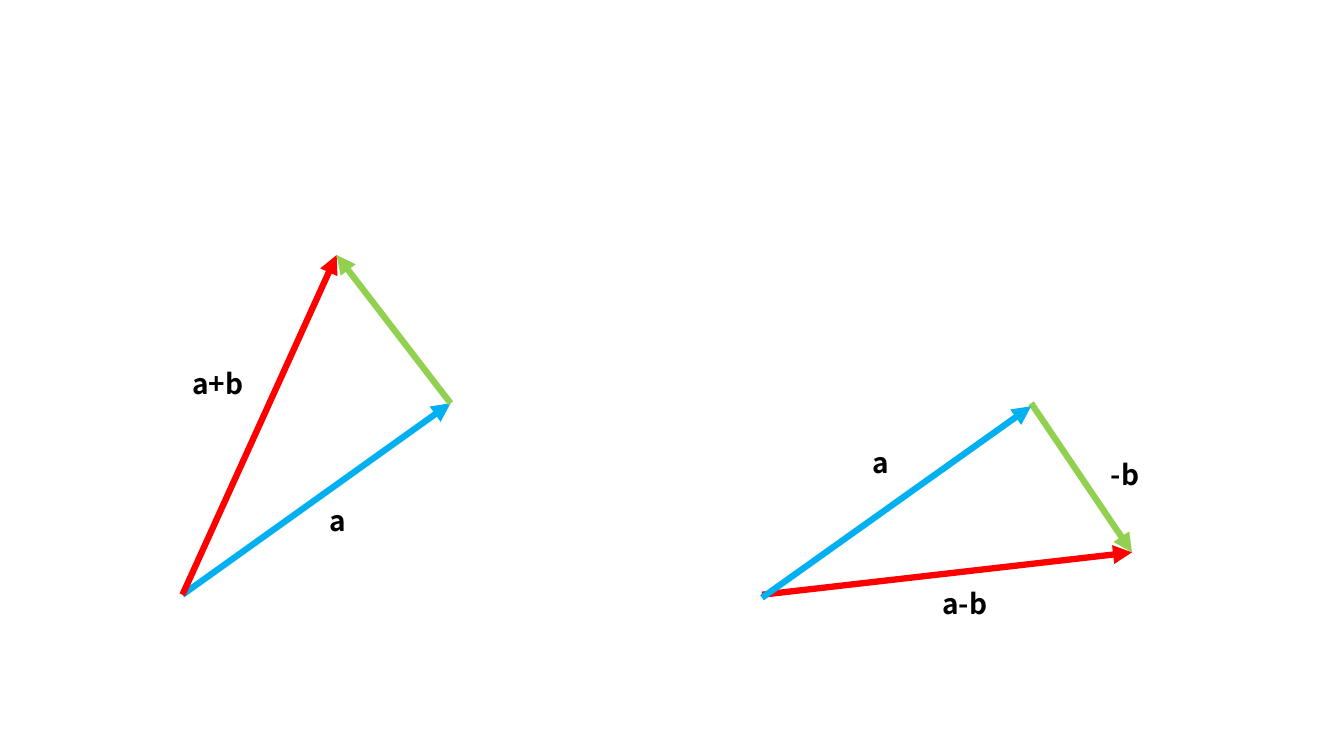
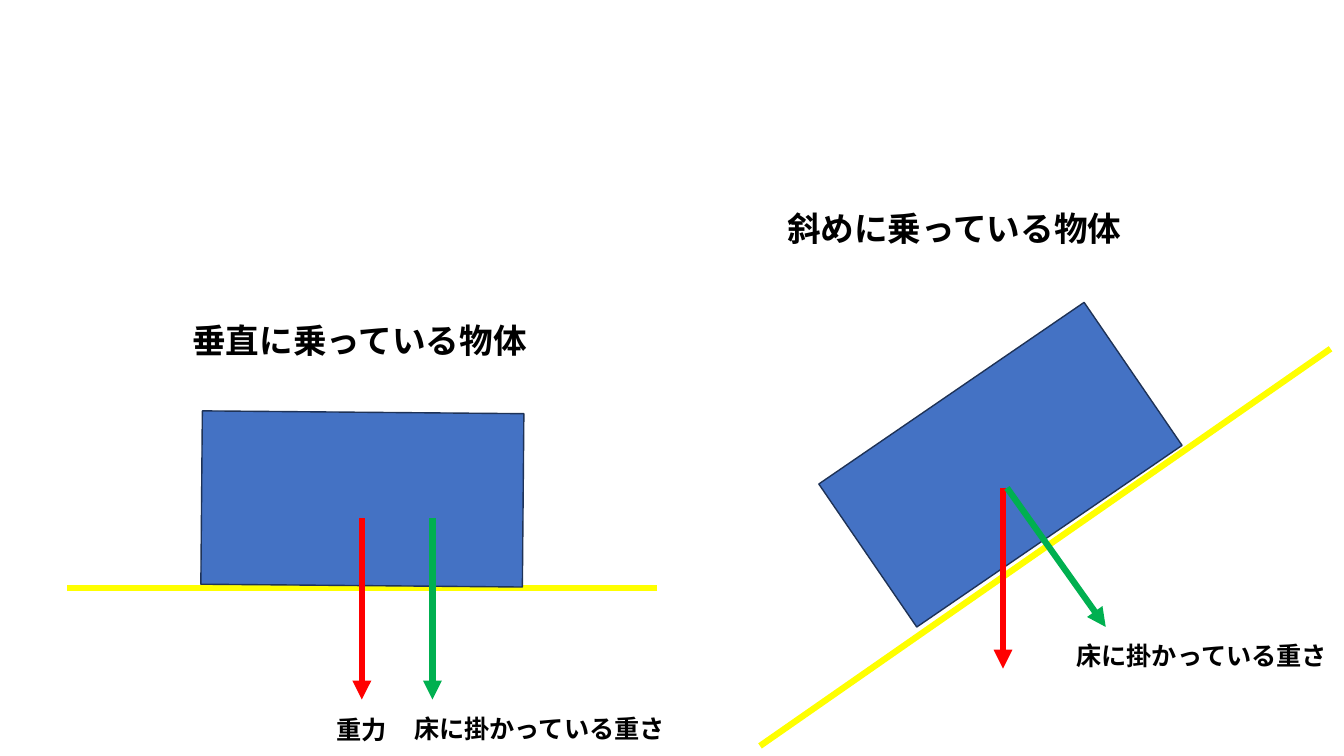
from dataclasses import dataclass
from typing import Sequence, Union

from lxml import etree
from pptx import Presentation
from pptx import util as u
from pptx.dml.color import RGBColor
from pptx.enum import shapes, text
from pptx.oxml import ns

SLIDE_W, SLIDE_H = u.Inches(40 / 3), u.Inches(7.5)
COLS = 40
CELL = SLIDE_W / COLS
FONT = "Noto Sans CJK JP"
LINE_PT = 4.5
BLOCK_W, BLOCK_H = 9.57, 5.16
PAD = 0.3
COLORS = {
    "a": "00B0F0",
    "b": "92D050",
    "result": "FF0000",
    "gravity": "FF0000",
    "load": "00B050",
    "floor": "FFFF00",
    "block": "4472C4",
    "block_edge": "1E3256",
    "text": "000000",
}

Point = tuple[float, float]


@dataclass(frozen=True)
class Line:
    start: Point
    end: Point
    color: str
    arrow: bool = True


@dataclass(frozen=True)
class Block:
    left: float
    top: float
    rotation: float


@dataclass(frozen=True)
class Label:
    left: float
    top: float
    width: float
    words: str
    size: int


Item = Union[Line, Block, Label]


def grid(cells: float) -> u.Emu:
    return u.Emu(round(cells * CELL))


def rgb(name: str) -> RGBColor:
    return RGBColor.from_string(COLORS[name])


def draw_line(s, line: Line) -> None:
    sp = s.shapes.add_connector(
        shapes.MSO_CONNECTOR.STRAIGHT, *(grid(v) for v in line.start + line.end)
    )
    sp.line.color.rgb = rgb(line.color)
    sp.line.width = u.Pt(LINE_PT)
    if line.arrow:
        ln = sp.line._get_or_add_ln()
        etree.SubElement(ln, ns.qn("a:tailEnd"), type="triangle")
    etree.SubElement(sp._element.spPr, ns.qn("a:effectLst"))


def draw_block(s, block: Block) -> None:
    sp = s.shapes.add_shape(
        shapes.MSO_SHAPE.RECTANGLE,
        grid(block.left), grid(block.top), grid(BLOCK_W), grid(BLOCK_H),
    )
    sp.rotation = block.rotation
    sp.shadow.inherit = False
    sp.fill.solid()
    sp.fill.fore_color.rgb = rgb("block")
    sp.line.color.rgb = rgb("block_edge")
    sp.line.width = u.Pt(1)


def draw_label(s, label: Label) -> None:
    height = u.Pt(label.size * 1.2) + 2 * u.Inches(0.05)
    sp = s.shapes.add_textbox(
        grid(label.left), grid(label.top), grid(label.width), height
    )
    tf = sp.text_frame
    tf.word_wrap = False
    tf.auto_size = text.MSO_AUTO_SIZE.SHAPE_TO_FIT_TEXT
    tf.margin_left = tf.margin_right = grid(PAD)
    p = tf.paragraphs[0]
    r = p.add_run()
    r.text = label.words
    r.font.size = u.Pt(label.size)
    r.font.bold = True
    r.font.color.rgb = rgb("text")
    r.font.name = FONT
    etree.SubElement(r._r.get_or_add_rPr(), ns.qn("a:ea"), typeface=FONT)


DRAW = {Line: draw_line, Block: draw_block, Label: draw_label}


def add_slide(prs, items: Sequence[Item]) -> None:
    s = prs.slides.add_slide(prs.slide_layouts[6])
    for item in items:
        DRAW[type(item)](s, item)


def vector_items() -> list[Item]:
    sum_origin, sum_a, sum_tip = (5.43, 17.7), (13.41, 12), (10.02, 7.59)
    diff_origin, diff_a, diff_tip = (22.68, 17.7), (30.69, 12), (33.69, 16.44)
    drop = 0.09
    return [
        Line(sum_origin, sum_a, "a"),
        Line(sum_a, sum_tip, "b"),
        Line(sum_origin, sum_tip, "result"),
        Line(diff_a, diff_tip, "b"),
        Line(diff_origin, diff_tip, "result"),
        Label(9.51, 14.85, 1.08, "a", 20),
        Label(32.76, 13.47, 1.47, "-b", 20),
        Label(5.43, 10.77, 2.25, "a+b", 20),
        Label(25.68, 13.11, 1.08, "a", 20),
        Label(27.75, 17.31, 1.98, "a-b", 20),
        Line(
            (diff_origin[0], diff_origin[1] + drop),
            (diff_a[0], diff_a[1] + drop),
            "a",
        ),
    ]


def weight_items() -> list[Item]:
    flat_y, flat_tip, slope_y = 15.42, 20.82, 14.52
    gravity_x, load_x, slope_x = 10.77, 12.87, 29.85
    load_words = "床に掛かっている重さ"
    return [
        Line((22.62, 22.2), (39.6, 10.38), "floor", arrow=False),
        Block(24.99, 11.25, 325.6),
        Line((2, 17.49), (19.56, 17.49), "floor", arrow=False),
        Block(6, 12.27, 0.5),
        Label(23.13, 6.03, 10.71, "斜めに乗っている物体", 24),
        Label(5.43, 9.36, 10.71, "垂直に乗っている物体", 24),
        Line((gravity_x, flat_y), (gravity_x, flat_tip), "gravity"),
        Line((slope_x, slope_y), (slope_x, 19.9), "gravity"),
        Line((slope_x + 0.12, slope_y), (32.91, 18.66), "load"),
        Label(9.72, 21.12, 2.13, "重力", 18),
        Label(12.03, 21.09, 8.19, load_words, 18),
        Label(31.74, 18.9, 8.19, load_words, 18),
        Line((load_x, flat_y), (load_x, flat_tip), "load"),
    ]


def main() -> None:
    prs = Presentation()
    prs.slide_width, prs.slide_height = SLIDE_W, SLIDE_H
    for items in (vector_items(), weight_items()):
        add_slide(prs, items)
    prs.save("out.pptx")


if __name__ == "__main__":
    main()
